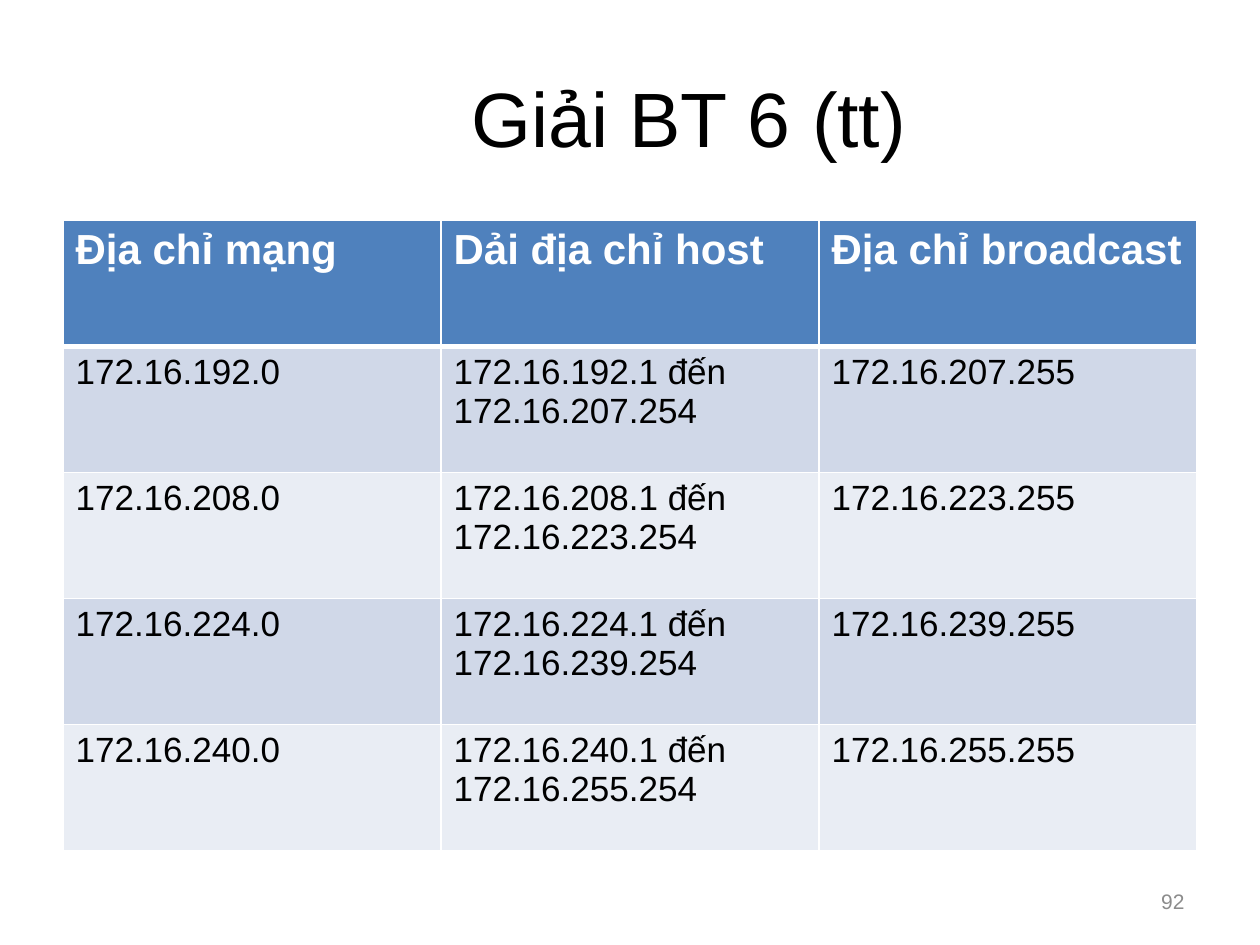
from dataclasses import dataclass

from lxml import etree
from pptx import Presentation
from pptx.dml.color import RGBColor
from pptx.enum.text import MSO_ANCHOR, PP_ALIGN
from pptx.oxml.ns import qn
from pptx.util import Inches, Pt

CENTER, RIGHT = PP_ALIGN.CENTER, PP_ALIGN.RIGHT
MIDDLE = MSO_ANCHOR.MIDDLE
TITLE_ONLY = 5
WHITE, BLACK, GREY = "FFFFFF", "000000", "8C8C8C"
HEADER_FILL, BANDS = "4F81BD", ("D0D8E8", "E9EDF4")


@dataclass
class Subnet:
    network: str
    first_host: str
    last_host: str
    broadcast: str

    def texts(self) -> tuple[str, ...]:
        return self.network, f"{self.first_host} đến {self.last_host}", self.broadcast


@dataclass
class RowStyle:
    fill: str
    color: str
    size: int
    bold: bool
    top: int
    bottom: int


HEADINGS = ("Địa chỉ mạng", "Dải địa chỉ host", "Địa chỉ broadcast")
SUBNETS = [
    Subnet("172.16.192.0", "172.16.192.1", "172.16.207.254", "172.16.207.255"),
    Subnet("172.16.208.0", "172.16.208.1", "172.16.223.254", "172.16.223.255"),
    Subnet("172.16.224.0", "172.16.224.1", "172.16.239.254", "172.16.239.255"),
    Subnet("172.16.240.0", "172.16.240.1", "172.16.255.254", "172.16.255.255"),
]


def rgb(value: str) -> RGBColor:
    return RGBColor.from_string(value)


def write(frame, text: str, size: int, color: str, bold: bool = False, align=None) -> None:
    paragraph = frame.paragraphs[0]
    paragraph.alignment = align
    run = paragraph.add_run()
    run.text = text
    font_format = {"name": "Arial", "size": Pt(size), "bold": bold}
    for attribute, value in font_format.items():
        setattr(run.font, attribute, value)
    run.font.color.rgb = rgb(color)


def place(shape, left: float, top: float, width: float, height: float) -> None:
    position = {"left": left, "top": top, "width": width, "height": height}
    for attribute, value in position.items():
        setattr(shape, attribute, Inches(value))


def set_borders(cell, top: int, bottom: int) -> None:
    properties = cell._tc.get_or_add_tcPr()
    widths = {"a:lnL": 1, "a:lnR": 1, "a:lnT": top, "a:lnB": bottom}
    for side, width in widths.items():
        line = etree.SubElement(properties, qn(side), w=str(Pt(width)))
        fill = etree.SubElement(line, qn("a:solidFill"))
        etree.SubElement(fill, qn("a:srgbClr"), val=WHITE)


def fill_row(cells, texts: tuple[str, ...], style: RowStyle) -> None:
    for cell, text in zip(cells, texts):
        set_borders(cell, style.top, style.bottom)
        cell.fill.solid()
        cell.fill.fore_color.rgb = rgb(style.fill)
        write(cell.text_frame, text, style.size, style.color, style.bold)


def add_subnet_table(slide) -> None:
    frame = slide.shapes.add_table(
        len(SUBNETS) + 1, len(HEADINGS), Inches(0.5), Inches(1.75), Inches(9), Inches(5)
    )
    header, *body = frame.table.rows
    fill_row(header.cells, HEADINGS, RowStyle(HEADER_FILL, WHITE, 24, True, 1, 3))
    for index, (row, subnet) in enumerate(zip(body, SUBNETS)):
        top = 3 if index == 0 else 1
        style = RowStyle(BANDS[index % 2], BLACK, 20, False, top, 1)
        fill_row(row.cells, subnet.texts(), style)


def main() -> None:
    presentation = Presentation()
    presentation.slide_width = Inches(10)
    presentation.slide_height = Inches(7.5)
    slide = presentation.slides.add_slide(presentation.slide_layouts[TITLE_ONLY])

    title = slide.shapes.title
    place(title, 1.17, 0.3, 8.6, 1.25)
    title.text_frame.vertical_anchor = MIDDLE
    write(title.text_frame, "Giải BT 6 (tt)", 44, BLACK, align=CENTER)

    add_subnet_table(slide)

    page_number = slide.shapes.add_textbox(
        Inches(7.17), Inches(6.95), Inches(2.33), Inches(0.4)
    )
    page_number.text_frame.word_wrap = True
    page_number.text_frame.vertical_anchor = MIDDLE
    write(page_number.text_frame, "92", 12, GREY, align=RIGHT)

    presentation.save("out.pptx")


if __name__ == "__main__":
    main()
